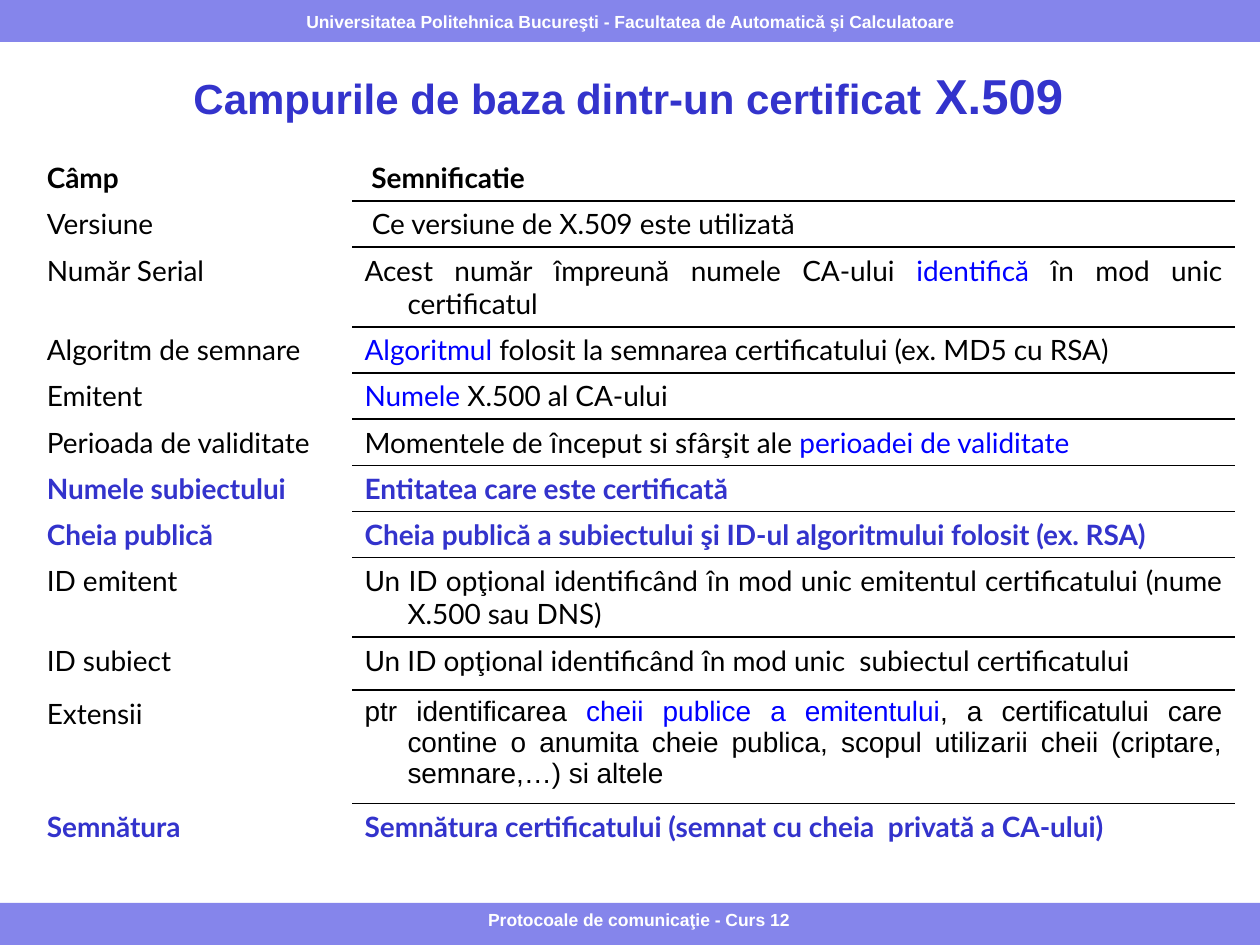
import lxml.etree
import pptx
import pptx.dml.color
import pptx.enum.shapes
import pptx.enum.text
import pptx.oxml.ns
import pptx.util

Pt = pptx.util.Pt
ALIGN = pptx.enum.text.PP_ALIGN
MIDDLE = pptx.enum.text.MSO_ANCHOR.MIDDLE
COLORS = {"band": "8585EB", "accent": "3333CC", "link": "0000FF",
          "text": "000000", "light": "FFFFFF"}


def rgb(name):
    return pptx.dml.color.RGBColor.from_string(COLORS[name])


def add_run(paragraph, text, size=16, font="Lato", color="text", bold=False):
    run = paragraph.add_run()
    run.text = text
    run.font.size = Pt(size)
    run.font.name = font
    run.font.bold = bold
    run.font.color.rgb = rgb(color)


def set_borders(cell, ruled_sides):
    properties = cell._tc.get_or_add_tcPr()
    for index, side in enumerate("LRTB"):
        line = lxml.etree.Element(pptx.oxml.ns.qn(f"a:ln{side}"))
        if side in ruled_sides:
            line.set("w", str(Pt(1)))
            fill = lxml.etree.SubElement(line, pptx.oxml.ns.qn("a:solidFill"))
            lxml.etree.SubElement(fill, pptx.oxml.ns.qn("a:srgbClr"), val=COLORS["text"])
        else:
            lxml.etree.SubElement(line, pptx.oxml.ns.qn("a:noFill"))
        properties.insert(index, line)


class SlideBuilder:
    band_height = 24
    band_text = {"size": 10, "font": "Arial", "color": "light", "bold": True}
    title_text = {"font": "Arial", "color": "accent", "bold": True}
    indent = 24.5

    def __init__(self, slide):
        self.slide = slide

    def band(self, top, text=None):
        band = self.slide.shapes.add_shape(
            pptx.enum.shapes.MSO_SHAPE.RECTANGLE, 0, Pt(top), Pt(720), Pt(self.band_height))
        band.shadow.inherit = False
        band.fill.solid()
        band.fill.fore_color.rgb = rgb("band")
        band.line.fill.background()
        if text:
            frame = band.text_frame
            frame.word_wrap = False
            frame.vertical_anchor = MIDDLE
            frame.paragraphs[0].alignment = ALIGN.CENTER
            add_run(frame.paragraphs[0], text, **self.band_text)

    def title(self, parts, left, top, width, height):
        title = self.slide.shapes.title
        title.left, title.top, title.width, title.height = map(Pt, (left, top, width, height))
        frame = title.text_frame
        frame.auto_size = pptx.enum.text.MSO_AUTO_SIZE.NONE
        frame.vertical_anchor = MIDDLE
        frame.paragraphs[0].alignment = ALIGN.CENTER
        for text, size in parts:
            add_run(frame.paragraphs[0], text, size=size, **self.title_text)

    def caption(self, text, left, top, width, height):
        caption = self.slide.shapes.add_textbox(*map(Pt, (left, top, width, height)))
        frame = caption.text_frame
        frame.word_wrap = True
        frame.paragraphs[0].alignment = ALIGN.CENTER
        add_run(frame.paragraphs[0], text, **self.band_text)

    def cell(self, cell, parts, style, ruled_sides):
        paragraph = cell.text_frame.paragraphs[0]
        paragraph.alignment = ALIGN.JUSTIFY
        paragraph.space_after = Pt(1.6)
        indents = paragraph._p.get_or_add_pPr()
        indents.set("marL", str(Pt(self.indent)))
        indents.set("indent", str(-Pt(self.indent)))
        for text, changes in parts:
            add_run(paragraph, text, **{**style, **changes})
        cell.fill.background()
        set_borders(cell, ruled_sides)

    def field_table(self, fields, left, top, widths):
        heights = [field[0] for field in fields]
        table = self.slide.shapes.add_table(
            len(fields), 2, Pt(left), Pt(top), Pt(sum(widths)), Pt(sum(heights))).table
        table.first_row = table.horz_banding = False
        for column, width in zip(table.columns, widths):
            column.width = Pt(width)
        last = len(fields) - 1
        for index, (height, style, name, meaning) in enumerate(fields):
            table.rows[index].height = Pt(height)
            sides = ("T" if index > 0 else "") + ("B" if index < last else "")
            self.cell(table.cell(index, 0), [(name, {})], style, "")
            self.cell(table.cell(index, 1), meaning, style, sides)


PLAIN = {}
HEADER = {"bold": True}
KEY = {"bold": True, "color": "accent"}
LINK = {"color": "link"}
ARIAL = {"font": "Arial"}
I_CIRCUMFLEX = ("î", ARIAL)
ONE_LINE, TWO_LINES = 26.3, 45.6

FIELDS = [
    (ONE_LINE, HEADER, "Câmp", [(" Semnificatie", PLAIN)]),
    (ONE_LINE, PLAIN, "Versiune", [(" Ce versiune de X.509 este utilizată", PLAIN)]),
    (TWO_LINES, PLAIN, "Număr Serial",
     [("Acest număr ", PLAIN), I_CIRCUMFLEX, ("mpreună numele CA-ului ", PLAIN),
      ("identifică ", LINK), I_CIRCUMFLEX, ("n mod unic certificatul", PLAIN)]),
    (ONE_LINE, PLAIN, "Algoritm de semnare",
     [("Algoritmul", LINK), (" folosit la semnarea certificatului (ex. MD5 cu RSA)", PLAIN)]),
    (ONE_LINE, PLAIN, "Emitent", [("Numele", LINK), (" X.500 al CA-ului", PLAIN)]),
    (ONE_LINE, PLAIN, "Perioada de validitate",
     [("Momentele de ", PLAIN), I_CIRCUMFLEX, ("nceput si sfârşit ale ", PLAIN),
      ("perioadei de validitate", LINK)]),
    (ONE_LINE, KEY, "Numele subiectului", [("Entitatea care este certificată", PLAIN)]),
    (ONE_LINE, KEY, "Cheia publică",
     [("Cheia publică a subiectului şi ID-ul algoritmului folosit (ex. RSA)", PLAIN)]),
    (TWO_LINES, PLAIN, "ID emitent",
     [("Un ID opţional identificând ", PLAIN), I_CIRCUMFLEX,
      ("n mod unic emitentul certificatului (nume X.500 sau DNS)", PLAIN)]),
    (30.3, PLAIN, "ID subiect",
     [("Un ID opţional identificând ", PLAIN), I_CIRCUMFLEX,
      ("n mod unic  subiectul certificatului", PLAIN)]),
    (64.8, PLAIN, "Extensii",
     [("ptr identificarea ", ARIAL), ("cheii publice a emitentului", {**ARIAL, **LINK}),
      (", a certificatului care contine o anumita cheie publica, scopul utilizarii "
       "cheii (criptare, semnare,…) si altele", ARIAL)]),
    (31.7, KEY, "Semnătura",
     [("Semnătura certificatului (semnat cu cheia  privată a CA-ului)", PLAIN)]),
]


def main():
    deck = pptx.Presentation()
    deck.slide_width, deck.slide_height = Pt(720), Pt(540)
    builder = SlideBuilder(deck.slides.add_slide(deck.slide_layouts[5]))
    builder.band(516)
    builder.band(0, "Universitatea Politehnica Bucureşti - Facultatea de Automatică şi Calculatoare")
    builder.title([("Campurile de baza dintr-un certificat", 24), (" X.509", 28)],
                  30, 32.4, 658, 43.2)
    builder.field_table(FIELDS, 19.6, 88.6, [181.6, 504.6])
    builder.caption("Protocoale de comunicaţie - Curs 12", 186, 516, 358, 21.6)
    deck.save("out.pptx")


if __name__ == "__main__":
    main()
